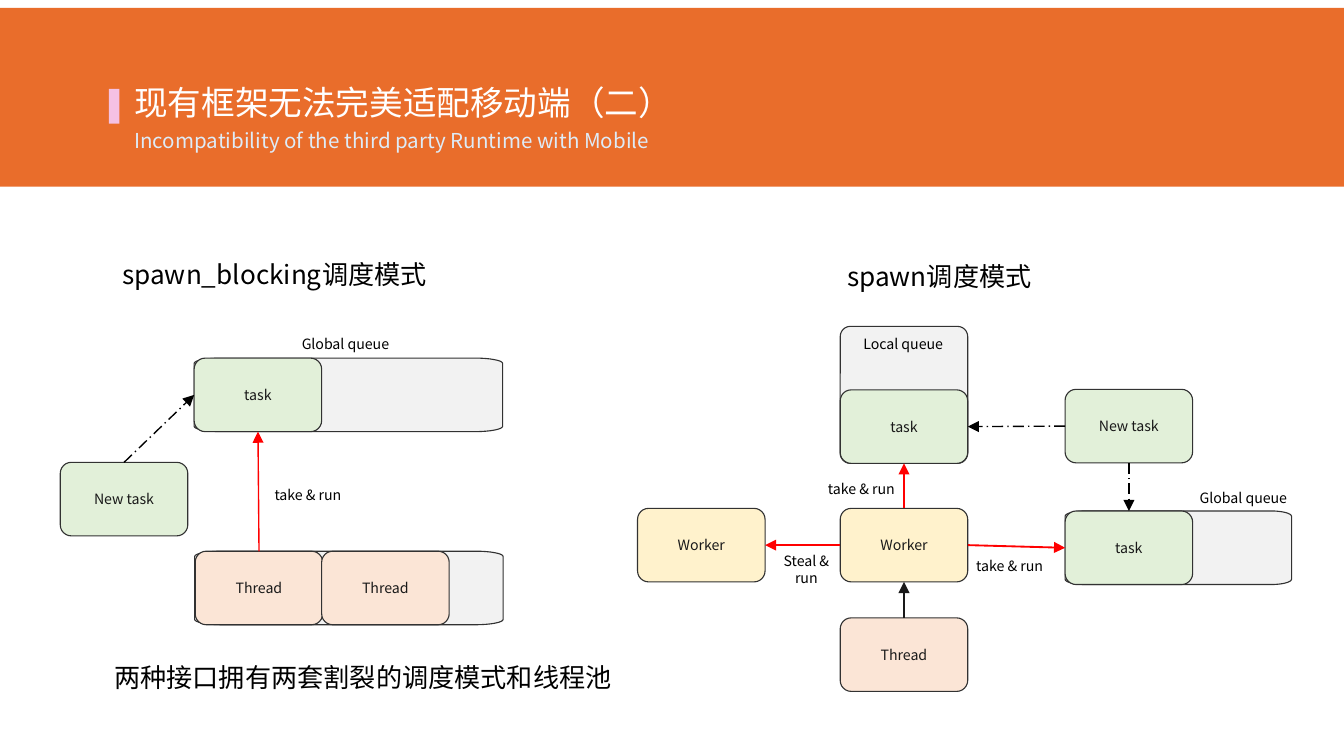
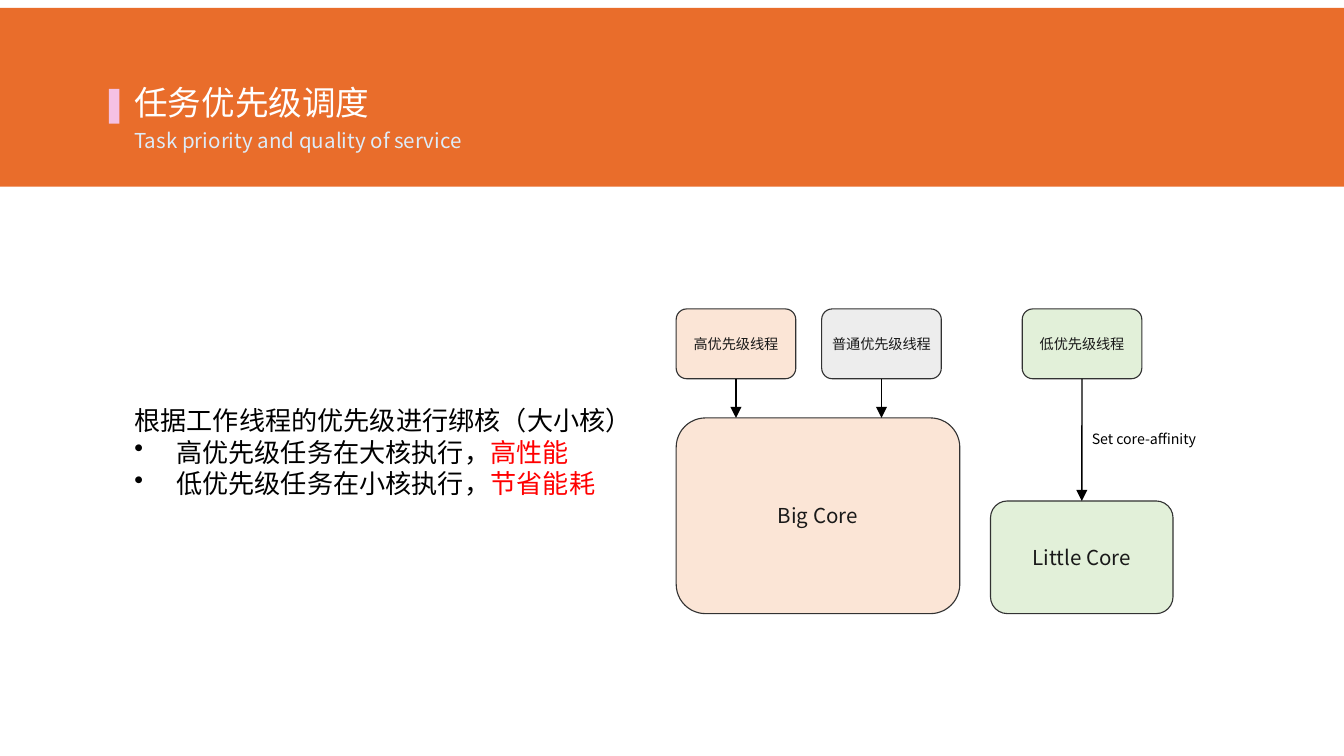
"""Two slides on task scheduling modes and priority scheduling."""
import math

from lxml import etree
from pptx import Presentation
from pptx.dml.color import RGBColor
from pptx.enum import dml, shapes, text
from pptx.oxml import ns
from pptx.util import Cm, Pt

FONT = "Noto Sans CJK SC"
ORANGE = RGBColor(0xE9, 0x6D, 0x2B)
PINK = RGBColor(0xF5, 0xC1, 0xE3)
PALE_BLUE = RGBColor(0xDE, 0xEB, 0xF7)
WHITE = RGBColor(0xFF, 0xFF, 0xFF)
BLACK = RGBColor(0, 0, 0)
RED = RGBColor(0xFF, 0, 0)
INK = RGBColor(0x19, 0x19, 0x19)
OUTLINE = RGBColor(0x32, 0x32, 0x32)
GREY = RGBColor(0xF2, 0xF2, 0xF2)
MID_GREY = RGBColor(0xED, 0xED, 0xED)
PEACH = RGBColor(0xFB, 0xE5, 0xD6)
YELLOW = RGBColor(0xFF, 0xF2, 0xCC)
GREEN = RGBColor(0xE2, 0xF0, 0xD9)

TOP, LEFT, BOTTOM, RIGHT = range(4)
SMALL, MEDIUM, LARGE = 7.6, 11, 14
BOX_W, BOX_H = 2.41, 1.39
CORE_W, CORE_H = 2.26, 1.32


def paint(shape, fill, line=None):
    """Fill a shape and give it a thin outline or none."""
    shape.shadow.inherit = False
    shape.fill.solid()
    shape.fill.fore_color.rgb = fill
    if line is None:
        shape.line.fill.background()
    else:
        shape.line.color.rgb = line
        shape.line.width = Pt(0.6)


def write(shape, paragraphs, size, centred=False, side=0.0, top=0.0):
    """Write paragraphs, each a list of (words, colour) runs."""
    frame = shape.text_frame
    frame.word_wrap = True
    frame.margin_left = frame.margin_right = Cm(side)
    frame.margin_top = frame.margin_bottom = Cm(top)
    anchors = text.MSO_ANCHOR
    frame.vertical_anchor = anchors.MIDDLE if centred else anchors.TOP
    for index, runs in enumerate(paragraphs):
        para = frame.paragraphs[0] if index == 0 else frame.add_paragraph()
        para.alignment = text.PP_ALIGN.CENTER if centred else text.PP_ALIGN.LEFT
        for words, colour in runs:
            span = para.add_run()
            span.text = words
            span.font.size = Pt(size)
            span.font.color.rgb = colour
            span.font.name = FONT
            east = etree.SubElement(span._r.get_or_add_rPr(), ns.qn("a:ea"))
            east.set("typeface", FONT)


deck = Presentation()
deck.slide_width, deck.slide_height = Cm(25.4), Cm(14.29)

queues = [
    (0, 3.68, 10.42, 5.83),
    (0, 3.67, 6.77, 5.83),
    (0, 20.13, 9.66, 4.28),
]
headers = [
    ("现有框架无法完美适配移动端（二）",
     "Incompatibility of the third party Runtime with Mobile"),
    ("任务优先级调度", "Task priority and quality of service"),
]
pages = []
for title, subtitle in headers:
    page = deck.slides.add_slide(deck.slide_layouts[6])
    pages.append(page)
    for colour, x, y, w, h in [(ORANGE, 0, 0.15, 25.4, 3.38),
                               (PINK, 2.06, 1.68, 0.2, 0.66)]:
        band = page.shapes.add_shape(
            shapes.MSO_SHAPE.RECTANGLE, Cm(x), Cm(y), Cm(w), Cm(h))
        paint(band, colour)
    for words, size, colour, y, h in [(title, 18, WHITE, 1.42, 1.04),
                                      (subtitle, MEDIUM, PALE_BLUE, 2.29, 0.74)]:
        box = page.shapes.add_textbox(Cm(2.41), Cm(y), Cm(12.7), Cm(h))
        write(box, [[(words, colour)]], size, side=0.13, top=0.13)

for number, x, y, w in queues:
    radius_x, radius_y = 0.09 * w, 0.1
    corners = [(x + w - radius_x, y + BOX_H - radius_y),
               (x + radius_x, y + BOX_H - radius_y),
               (x + radius_x, y + radius_y),
               (x + w - radius_x, y + radius_y)]
    points = []
    for quarter, (centre_x, centre_y) in enumerate(corners):
        for step in range(9):
            angle = math.pi / 2 * (quarter + step / 8)
            points.append((Cm(centre_x + radius_x * math.cos(angle)),
                           Cm(centre_y + radius_y * math.sin(angle))))
    builder = pages[number].shapes.build_freeform(*points[0])
    builder.add_line_segments(points[1:], close=True)
    paint(builder.convert_to_shape(), GREY, OUTLINE)

boxes = [
    (0, "local queue", "", GREY, 15.88, 6.17, BOX_W, 2.59, SMALL),
    (0, "local task", "task", GREEN, 15.88, 7.37, BOX_W, BOX_H, SMALL),
    (0, "worker", "Worker", YELLOW, 15.88, 9.61, BOX_W, BOX_H, SMALL),
    (0, "worker thread", "Thread", PEACH, 15.88, 11.68, BOX_W, BOX_H, SMALL),
    (0, "other worker", "Worker", YELLOW, 12.05, 9.61, BOX_W, BOX_H, SMALL),
    (0, "global task", "task", GREEN, 20.13, 9.66, BOX_W, BOX_H, SMALL),
    (0, "spawned task", "New task", GREEN, 20.13, 7.36, BOX_W, BOX_H, SMALL),
    (0, "first thread", "Thread", PEACH, 3.69, 10.42, BOX_W, BOX_H, SMALL),
    (0, "second thread", "Thread", PEACH, 6.08, 10.42, BOX_W, BOX_H, SMALL),
    (0, "blocking task", "task", GREEN, 3.67, 6.77, BOX_W, BOX_H, SMALL),
    (0, "new blocking task", "New task", GREEN, 1.14, 8.74, BOX_W, BOX_H, SMALL),
    (1, "big core", "Big Core", PEACH, 12.78, 7.9, 5.36, 3.7, MEDIUM),
    (1, "little core", "Little Core", GREEN, 18.72, 9.47, 3.45, 2.13, MEDIUM),
    (1, "high", "高优先级线程", PEACH, 12.78, 5.84, CORE_W, CORE_H, SMALL),
    (1, "normal", "普通优先级线程", MID_GREY, 15.53, 5.84, CORE_W, CORE_H, SMALL),
    (1, "low", "低优先级线程", GREEN, 19.32, 5.84, CORE_W, CORE_H, SMALL),
]
nodes = {}
for number, name, words, fill, x, y, w, h, size in boxes:
    node = pages[number].shapes.add_shape(
        shapes.MSO_SHAPE.ROUNDED_RECTANGLE, Cm(x), Cm(y), Cm(w), Cm(h))
    node.adjustments[0] = 0.08 if name == "local queue" else 0.15
    paint(node, fill, OUTLINE)
    if words:
        write(node, [[(words, INK)]], size, centred=True, side=0.1)
    nodes[name] = node

arrows = [
    (0, "worker thread", TOP, "worker", BOTTOM, INK, 0.6, False),
    (0, "worker", TOP, "local task", BOTTOM, RED, 0.6, False),
    (0, "worker", RIGHT, "global task", LEFT, RED, 1, False),
    (0, "worker", LEFT, "other worker", RIGHT, RED, 1, False),
    (0, "first thread", TOP, "blocking task", BOTTOM, RED, 0.75, False),
    (0, "new blocking task", TOP, "blocking task", LEFT, BLACK, 0.75, True),
    (0, "spawned task", BOTTOM, "global task", TOP, BLACK, 0.75, True),
    (0, "spawned task", LEFT, "local task", RIGHT, BLACK, 0.75, True),
    (1, "high", BOTTOM, "big core", None, BLACK, 0.75, False),
    (1, "normal", BOTTOM, "big core", None, BLACK, 0.75, False),
    (1, "low", BOTTOM, "little core", TOP, BLACK, 0.75, False),
]
for number, start, start_side, end, end_side, colour, width, dashed in arrows:
    source, target = nodes[start], nodes[end]
    middle = source.left + source.width // 2
    arrow = pages[number].shapes.add_connector(
        shapes.MSO_CONNECTOR.STRAIGHT, middle, source.top + source.height,
        middle, target.top)
    arrow.begin_connect(source, start_side)
    if end_side is not None:
        arrow.end_connect(target, end_side)
    arrow.line.color.rgb = colour
    arrow.line.width = Pt(width)
    if dashed:
        arrow.line.dash_style = dml.MSO_LINE.LONG_DASH_DOT
    head = etree.SubElement(arrow.line._get_or_add_ln(), ns.qn("a:tailEnd"))
    head.set("type", "triangle")
    etree.SubElement(arrow._element.spPr, ns.qn("a:effectLst"))

labels = [
    (0, ["Local queue"], 15.8, 6.22),
    (0, ["Global queue"], 5.26, 6.22),
    (0, ["Global queue"], 22.23, 9.14),
    (0, ["take & run"], 4.55, 9.07),
    (0, ["take & run"], 15.01, 8.97),
    (0, ["take & run"], 17.81, 10.41),
    (0, ["Steal &", "run"], 13.97, 10.49),
    (1, ["Set core-affinity"], 20.35, 8.02),
]
for number, lines, x, y in labels:
    label = pages[number].shapes.add_textbox(Cm(x), Cm(y), Cm(2.54), Cm(0.56))
    write(label, [[(line, BLACK)] for line in lines], SMALL, centred=True)

statements = [
    (0, [[("spawn_blocking调度模式", BLACK)]], 2.18, 4.75, 11.3, 0.86),
    (0, [[("spawn调度模式", BLACK)]], 15.88, 4.8, 9.4, 0.86),
    (0, [[("两种接口拥有两套割裂的调度模式和线程池", BLACK)]],
     2.03, 12.37, 10.49, 0.86),
    (1, [[("根据工作线程的优先级进行绑核（大小核）", BLACK)],
         [("高优先级任务在大核执行，", BLACK), ("高性能", RED)],
         [("低优先级任务在小核执行，", BLACK), ("节省能耗", RED)]],
     2.41, 7.52, 9.88, 2.06),
]
for number, paragraphs, x, y, w, h in statements:
    statement = pages[number].shapes.add_textbox(Cm(x), Cm(y), Cm(w), Cm(h))
    write(statement, paragraphs, LARGE, side=0.13, top=0.13)
    for para in statement.text_frame.paragraphs[1:]:
        properties = para._p.get_or_add_pPr()
        properties.set("marL", str(Cm(0.79)))
        properties.set("indent", str(-Cm(0.79)))
        bullet = etree.SubElement(properties, ns.qn("a:buChar"))
        bullet.set("char", "•")

deck.save("out.pptx")
